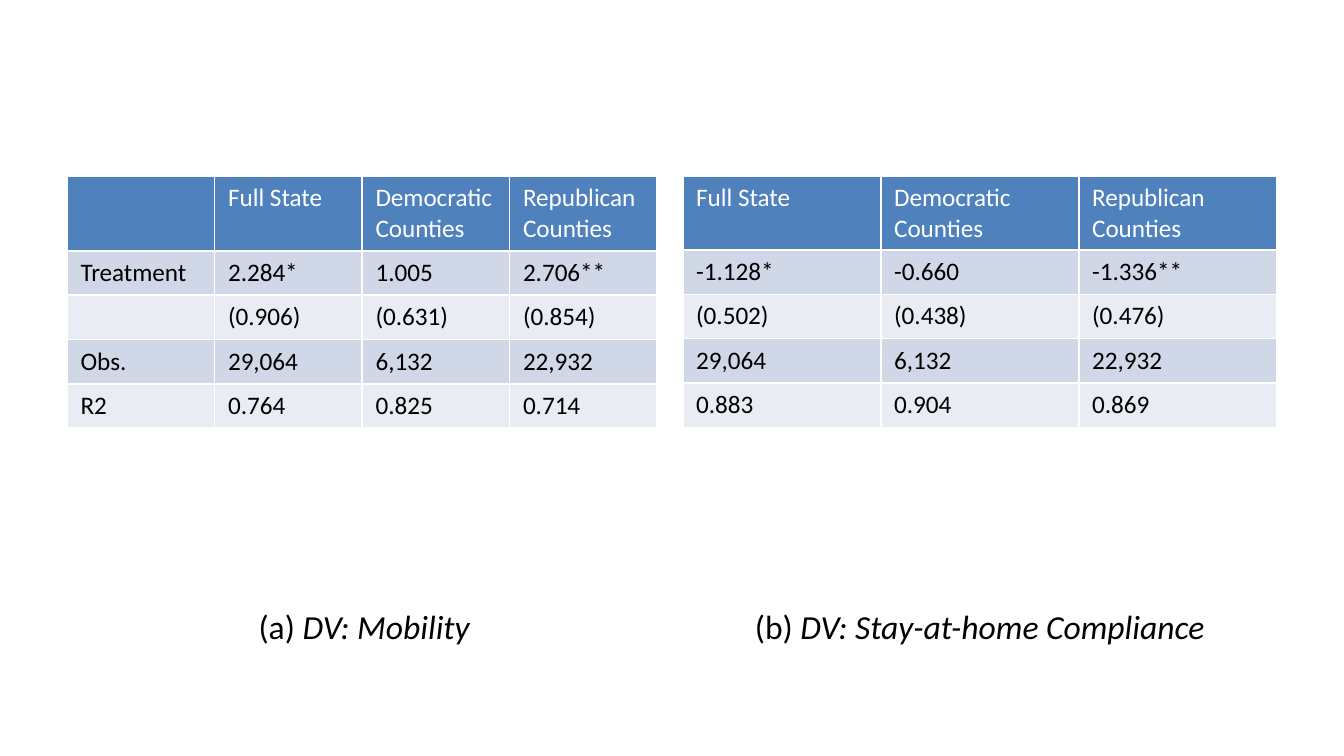
from dataclasses import dataclass

from lxml.etree import SubElement
from pptx import Presentation
from pptx.dml.color import RGBColor
from pptx.enum.text import PP_ALIGN
from pptx.oxml import parse_xml
from pptx.oxml.ns import nsdecls, qn
from pptx.util import Inches, Pt


@dataclass(frozen=True)
class Theme:
    font: str = "Calibri"
    cell_size: float = 13.5
    caption_size: float = 18
    border_width: float = 0.96
    header: str = "4F81BD"
    bands: tuple = ("D0D8E7", "E9ECF3")
    light: str = "FFFFFF"
    dark: str = "000000"


THEME = Theme()

SAMPLES = ["Full State", "Democratic Counties", "Republican Counties"]
OBSERVATIONS = ["29,064", "6,132", "22,932"]
LABELS = ["", "Treatment", "", "Obs.", "R2"]

MOBILITY = [
    SAMPLES,
    ["2.284*", "1.005", "2.706**"],
    ["(0.906)", "(0.631)", "(0.854)"],
    OBSERVATIONS,
    ["0.764", "0.825", "0.714"],
]
COMPLIANCE = [
    SAMPLES,
    ["-1.128*", "-0.660", "-1.336**"],
    ["(0.502)", "(0.438)", "(0.476)"],
    OBSERVATIONS,
    ["0.883", "0.904", "0.869"],
]
LABELLED_MOBILITY = [[label, *row] for label, row in zip(LABELS, MOBILITY)]
PANELS = [
    ("(a) ", "DV: Mobility", LABELLED_MOBILITY, Inches(4.39)),
    ("(b) ", "DV: Stay-at-home Compliance", COMPLIANCE, Inches(4.42)),
]

WIDTH = Inches(10)
HEIGHT = WIDTH * 9 // 16
MARGIN = WIDTH * 0.05
GUTTER = WIDTH * 0.016
PANEL_WIDTH = (WIDTH - 2 * MARGIN - GUTTER) / 2
TABLE_TOP = Inches(1.31)
HEADER_HEIGHT, ROW_HEIGHT = Inches(0.55), Inches(0.33)
CAPTION_TOP, CAPTION_HEIGHT = Inches(4.46), Inches(0.56)


def style_run(run, size, color, italic=False):
    run.font.name = THEME.font
    run.font.size = Pt(size)
    run.font.bold = False
    run.font.italic = italic
    run.font.color.rgb = RGBColor.from_string(color)


def add_borders(cell):
    properties = cell._tc.get_or_add_tcPr()
    for position, side in enumerate(("lnL", "lnR", "lnT", "lnB")):
        properties.insert(position, parse_xml(
            f'<a:{side} {nsdecls("a")} w="{Pt(THEME.border_width)}"><a:solidFill>'
            f'<a:srgbClr val="{THEME.light}"/></a:solidFill></a:{side}>'
        ))


def fill_cell(cell, words, fill, color):
    cell.fill.solid()
    cell.fill.fore_color.rgb = RGBColor.from_string(fill)
    add_borders(cell)
    paragraph = cell.text_frame.paragraphs[0]
    if words:
        paragraph.text = words
        style_run(paragraph.runs[0], THEME.cell_size, color)
    else:
        end = SubElement(paragraph._p, qn("a:endParaRPr"))
        end.set("sz", str(int(THEME.cell_size * 100)))


def add_results(slide, left, rows, width):
    heights = [HEADER_HEIGHT] + [ROW_HEIGHT] * (len(rows) - 1)
    table = slide.shapes.add_table(
        len(rows), len(rows[0]), int(left), TABLE_TOP, width, sum(heights)
    ).table
    for index, (row, height) in enumerate(zip(rows, heights)):
        table.rows[index].height = height
        fill = THEME.bands[(index - 1) % 2] if index else THEME.header
        color = THEME.dark if index else THEME.light
        for column, words in enumerate(row):
            fill_cell(table.cell(index, column), words, fill, color)


def add_caption(slide, left, letter, outcome):
    frame = slide.shapes.add_textbox(
        int(left), CAPTION_TOP, int(PANEL_WIDTH), CAPTION_HEIGHT
    ).text_frame
    frame.word_wrap = True
    paragraph = frame.paragraphs[0]
    paragraph.alignment = PP_ALIGN.CENTER
    for words, italic in ((letter, False), (outcome, True)):
        run = paragraph.add_run()
        run.text = words
        style_run(run, THEME.caption_size, THEME.dark, italic)


def main():
    deck = Presentation()
    deck.slide_width, deck.slide_height = WIDTH, HEIGHT
    slide = deck.slides.add_slide(deck.slide_layouts[6])
    for index, (letter, outcome, rows, table_width) in enumerate(PANELS):
        left = MARGIN + index * (PANEL_WIDTH + GUTTER)
        add_results(slide, left, rows, table_width)
        add_caption(slide, left, letter, outcome)
    deck.save("out.pptx")


if __name__ == "__main__":
    main()
